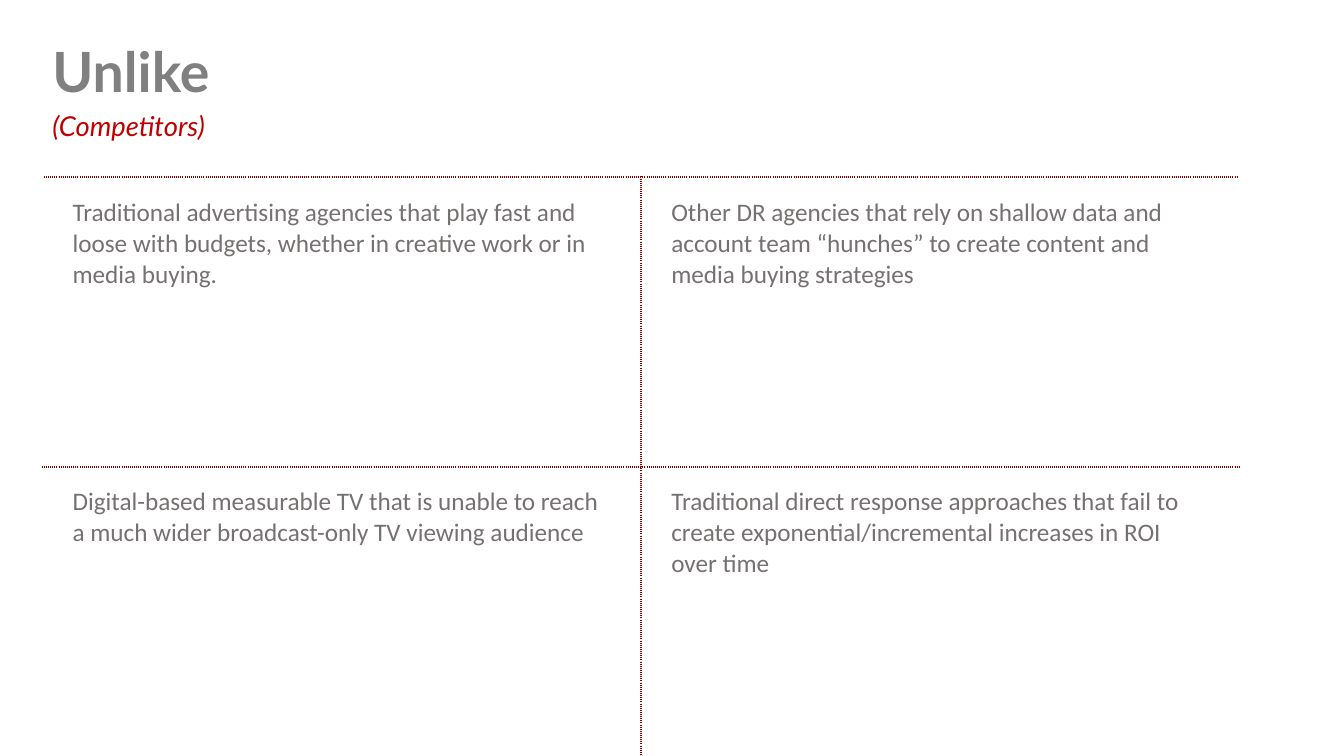
from lxml import etree
from pptx import Presentation
from pptx import util as u
from pptx.dml.color import RGBColor
from pptx.enum import text
from pptx.oxml import ns

GREY = RGBColor(0x80, 0x80, 0x80)
TEXT_GREY = RGBColor(0x76, 0x71, 0x71)
RED = RGBColor(0xC0, 0x00, 0x00)
MAROON = RGBColor(0x80, 0x00, 0x00)

LEFT = 30.24
COMPETITORS = [
    ["Traditional advertising agencies that play fast and loose with budgets, "
     "whether in creative work or in media buying.",
     "Other DR agencies that rely on shallow data and account team “hunches” "
     "to create content and media buying strategies"],
    ["Digital-based measurable TV that is unable to reach \n"
     "a much wider broadcast-only TV viewing audience",
     "Traditional direct response approaches that fail to create "
     "exponential/incremental increases in ROI over time"],
]


class SlideBuilder:
    """Holds the style and the current slide."""

    heading_font = "Lato"
    cell_font = "Calibri"
    border_width = 1.5

    def __init__(self, slide):
        self.slide = slide

    def add_text(self, paragraph, content, font, size, color, bold=False, italic=False):
        for index, line in enumerate(content.split("\n")):
            if index:
                paragraph.add_line_break()
            run = paragraph.add_run()
            run.text = line
            run.font.name = font
            run.font.size = u.Pt(size)
            run.font.color.rgb = color
            run.font.bold = bold
            run.font.italic = italic

    def fill_placeholder(self, shape, top, height, anchor, line_spacing, alignment=text.PP_ALIGN.LEFT):
        shape.left, shape.top = u.Pt(LEFT), u.Pt(top)
        shape.width, shape.height = u.Pt(895.68), u.Pt(height)
        frame = shape.text_frame
        frame.auto_size = text.MSO_AUTO_SIZE.NONE
        frame.vertical_anchor = anchor
        paragraph = frame.paragraphs[0]
        paragraph.alignment = alignment
        paragraph.line_spacing = line_spacing
        return paragraph

    def title(self, content):
        paragraph = self.fill_placeholder(
            self.slide.shapes.title, 25.92, 54.72, text.MSO_ANCHOR.MIDDLE, 0.9)
        self.add_text(paragraph, content, self.heading_font, 39.6, GREY, bold=True)

    def subtitle(self, content):
        paragraph = self.fill_placeholder(
            self.slide.placeholders[1], 80.64, 25.2, text.MSO_ANCHOR.TOP, 0.7)
        paragraph.space_before = u.Pt(10)
        properties = paragraph._p.get_or_add_pPr()
        properties.set("marL", str(u.Pt(18)))
        properties.set("indent", str(u.Pt(-18)))
        etree.SubElement(properties, ns.qn("a:buNone"))
        self.add_text(paragraph, content, self.heading_font, 19.6, RED, italic=True)

    def borders(self, cell, sides):
        properties = cell._tc.get_or_add_tcPr()
        for index, side in enumerate(sides):
            line = etree.Element(ns.qn(f"a:ln{side}"), w=str(u.Pt(self.border_width)))
            fill = etree.SubElement(line, ns.qn("a:solidFill"))
            etree.SubElement(fill, ns.qn("a:srgbClr"), val=str(MAROON))
            etree.SubElement(line, ns.qn("a:prstDash"), val="dot")
            properties.insert(index, line)

    def table(self, rows, top, column_width, row_height):
        row_count, column_count = len(rows), len(rows[0])
        table = self.slide.shapes.add_table(
            row_count, column_count, u.Pt(LEFT), u.Pt(top),
            u.Pt(column_width * column_count), u.Pt(row_height * row_count)).table
        table.first_row = table.horz_banding = False
        for row_index, row in enumerate(rows):
            table.rows[row_index].height = u.Pt(row_height)
            for column_index, content in enumerate(row):
                cell = table.cell(row_index, column_index)
                cell.fill.background()
                cell.margin_left = cell.margin_right = u.Pt(21.6)
                cell.margin_top, cell.margin_bottom = u.Pt(14.4), u.Pt(3.6)
                self.add_text(cell.text_frame.paragraphs[0], content,
                              self.cell_font, 18, TEXT_GREY)
                # Inner edges and the top edge are ruled; the rest stay open
                sides = "L" if column_index else ""
                sides += "R" if column_index < column_count - 1 else ""
                sides += "T"
                sides += "B" if row_index < row_count - 1 else ""
                self.borders(cell, sides)


def main():
    presentation = Presentation()
    presentation.slide_width, presentation.slide_height = u.Pt(960), u.Pt(540)
    builder = SlideBuilder(presentation.slides.add_slide(presentation.slide_layouts[1]))

    # Heading
    builder.title("Unlike")
    builder.subtitle("(Competitors)")

    # Competitor grid
    builder.table(COMPETITORS, top=126.72, column_width=427.68, row_height=206.64)

    presentation.save("out.pptx")


if __name__ == "__main__":
    main()
